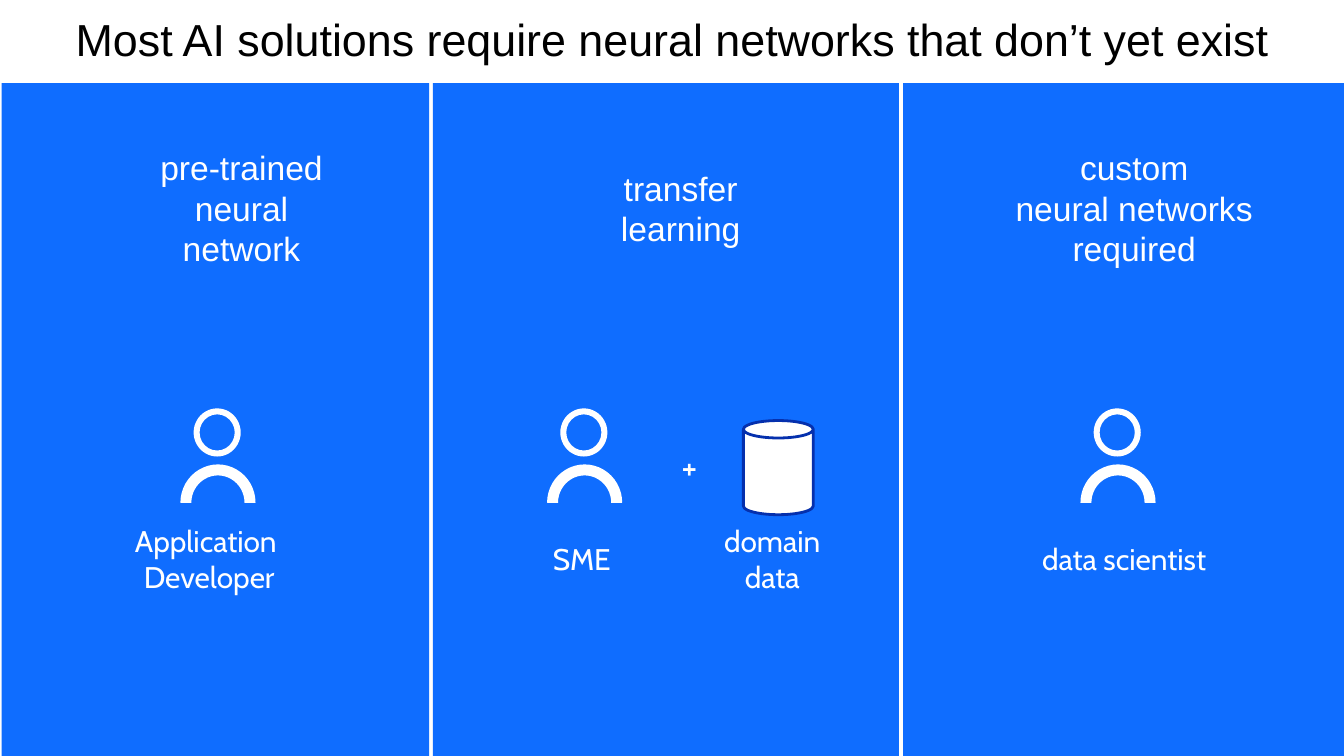
from collections import namedtuple

from pptx import Presentation
from pptx import util as u
from pptx.dml.color import RGBColor
from pptx.enum import shapes, text

BLUE = RGBColor(0x0F, 0x6D, 0xFF)
NAVY = RGBColor(0x05, 0x30, 0xAD)
WHITE = RGBColor(0xFF, 0xFF, 0xFF)
BLACK = RGBColor(0x00, 0x00, 0x00)

HEADING = {"name": "Arial", "size": u.Pt(18)}
LABEL = {"name": "Cabin", "size": u.Pt(16)}
SIGN = {"name": "Cabin", "size": u.Pt(18)}
TITLE = {"name": "Arial", "size": u.Pt(24), "bold": False}

HEADING_TOP, LABEL_TOP, TEXT_HEIGHT = 1.65, 8.28, 1.42

Box = namedtuple("Box", "left top width height")


def inside(box, left, top, width, height):
    return Box(box.left + left, box.top + top, width, height)


def set_values(target, values):
    for name, value in values.items():
        setattr(target, name, value)


def add_shape(page, kind, box, fill, adjustments=()):
    shape = page.shapes.add_shape(kind, *map(u.Cm, box))
    shape.shadow.inherit = False
    shape.fill.solid()
    shape.fill.fore_color.rgb = fill
    shape.line.fill.background()
    for index, value in enumerate(adjustments):
        shape.adjustments[index] = value
    return shape


def write(frame, words, font, color, layout):
    set_values(frame, {"vertical_anchor": text.MSO_ANCHOR.MIDDLE, **layout})
    frame.text = words
    for para in frame.paragraphs:
        para.alignment = text.PP_ALIGN.CENTER
        for span in para.runs:
            set_values(span.font, font)
            span.font.color.rgb = color


def add_text(page, box, words, font):
    frame = page.shapes.add_textbox(*map(u.Cm, box)).text_frame
    write(frame, words, font, WHITE, {"word_wrap": False, "margin_right": 0})


def add_title(page, box, words):
    title = page.shapes.title
    set_values(title, dict(zip(box._fields, map(u.Cm, box))))
    write(title.text_frame, words, TITLE, BLACK,
          {"word_wrap": True, "auto_size": text.MSO_AUTO_SIZE.NONE,
           "margin_top": 0, "margin_bottom": 0})
    title.text_frame.paragraphs[0].line_spacing = 0.9


def add_person(page, box):
    add_shape(page, shapes.MSO_SHAPE.BLOCK_ARC, inside(box, 0, 1.06, 1.42, 1.45),
              WHITE, (108.02, 0, 0.146))
    add_shape(page, shapes.MSO_SHAPE.DONUT, inside(box, 0.25, 0, 0.89, 0.91),
              WHITE, (0.127,))


def add_panel(page, box, heading, heading_span, role, role_span, person_left):
    add_shape(page, shapes.MSO_SHAPE.RECTANGLE, box, BLUE)
    for words, (left, width), top, font in (
        (heading, heading_span, HEADING_TOP, HEADING),
        (role, role_span, LABEL_TOP, LABEL),
    ):
        add_text(page, inside(box, left, top, width, TEXT_HEIGHT), words, font)
    add_person(page, inside(box, person_left, 6.15, 1.42, 2.51))


def add_domain_data(page, box):
    add_text(page, inside(box, 0, 0.15, 1.93, TEXT_HEIGHT), "+", SIGN)
    can = add_shape(page, shapes.MSO_SHAPE.CAN, inside(box, 2.11, 0, 1.32, 1.78), WHITE)
    can.line.color.rgb = NAVY
    can.line.width = u.Pt(1.5)
    add_text(page, inside(box, 0.56, 1.9, 3.94, TEXT_HEIGHT), "domain\ndata", LABEL)


def main():
    deck = Presentation()
    set_values(deck, {"slide_width": u.Cm(25.4), "slide_height": u.Cm(14.29)})
    page = deck.slides.add_slide(deck.slide_layouts[5])

    add_title(page, Box(0, -0.1, 25.4, 1.8),
              "Most AI solutions require neural networks that don’t yet exist")

    first, second, third = (
        Box(left, 1.57, width, 12.72)
        for left, width in ((0.03, 8.08), (8.18, 8.81), (17.07, 8.33))
    )
    add_panel(page, first, "pre-trained\nneural network", (2.44, 3.94),
              "Application \vDeveloper", (1.83, 3.94), 3.38)
    add_panel(page, second, "transfer learning", (2.59, 3.94),
              "SME", (0.99, 3.4), 2.16)
    add_panel(page, third, "custom\nneural networks\nrequired", (1.85, 4.78),
              "data scientist", (2.08, 3.94), 3.35)
    add_domain_data(page, inside(second, 3.76, 6.38, 4.5, 3.32))

    deck.save("out.pptx")


if __name__ == "__main__":
    main()
